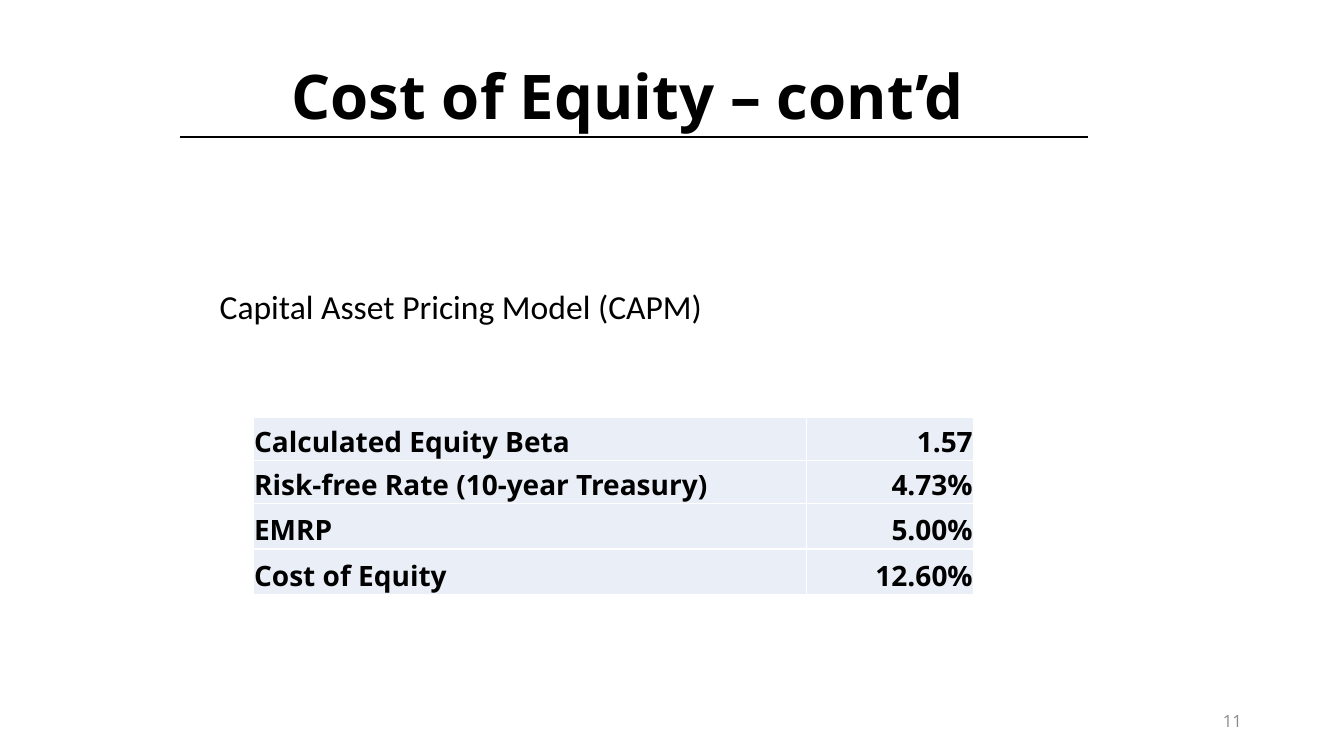
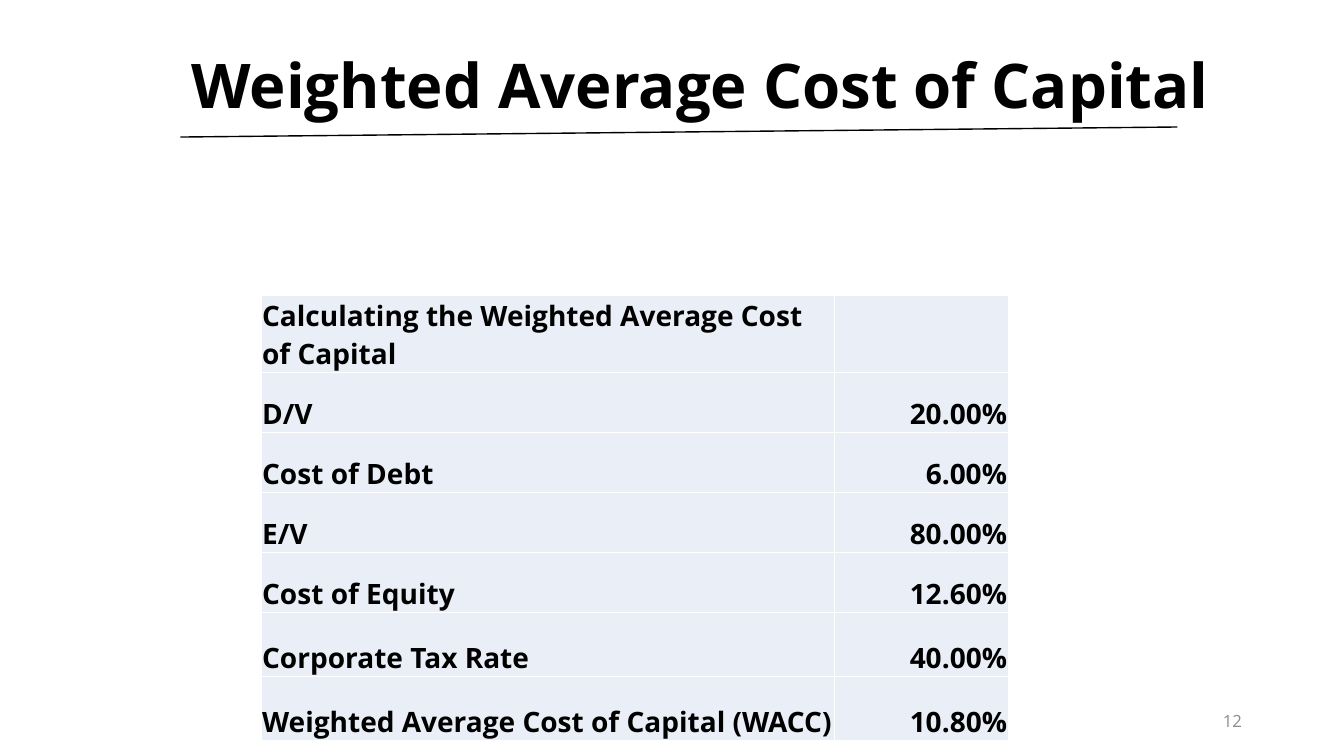
from pptx import Presentation
from pptx.dml.color import RGBColor
from pptx.enum.shapes import MSO_CONNECTOR
from pptx.enum.text import MSO_ANCHOR, PP_ALIGN
from pptx.oxml.ns import qn
from pptx.util import Inches, Pt
from lxml.etree import SubElement

BLACK, GREY, PALE_BLUE = "000000", "8C8C8C", "EAEFF7"
HEADING_FONT, BODY_FONT = "Open Sans", "Calibri"
LABEL_SHARE = 76.8  # label column, percent of table width
NUMBER_BOX = (70.65, 92.67, 22.5, 5.33)
RULE_START = (13.43, 18.13)

deck = Presentation()
deck.slide_width, deck.slide_height = Inches(13.33), Inches(7.5)


def color(code):
    """Turn a hex string into a colour."""
    return RGBColor.from_string(code)


def across(percent):
    """Length as a percentage of the slide width."""
    return int(deck.slide_width * percent / 100)


def down(percent):
    """Length as a percentage of the slide height."""
    return int(deck.slide_height * percent / 100)


def place(box):
    """Convert a percentage box to slide lengths."""
    left, top, width, height = box
    return across(left), down(top), across(width), down(height)


def write(frame, text, size, font=HEADING_FONT, ink=BLACK, bold=False,
          align=PP_ALIGN.LEFT):
    """Put one styled paragraph in a text frame and return it."""
    para = frame.paragraphs[0]
    para.text, para.alignment = text, align
    para.font.size, para.font.name, para.font.bold = Pt(size), font, bold
    para.font.color.rgb = color(ink)
    return para


def add_text(page, box, text, size, anchor=MSO_ANCHOR.TOP, **style):
    """Add a wrapping text box and return its paragraph."""
    frame = page.shapes.add_textbox(*place(box)).text_frame
    frame.word_wrap, frame.vertical_anchor = True, anchor
    return write(frame, text, size, **style)


def add_rule(page, end):
    """Draw the thin line under the title."""
    points = [f(v) for x, y in (RULE_START, end)
              for f, v in ((across, x), (down, y))]
    rule = page.shapes.add_connector(MSO_CONNECTOR.STRAIGHT, *points)
    rule.line.color.rgb, rule.line.width = color(BLACK), Pt(1)
    SubElement(rule._element.spPr, qn("a:effectLst"))


def add_figures(page, corner, width, rows, heights):
    """Add a two-column table of labels and right-aligned values."""
    box = (*corner, width, sum(heights))
    table = page.shapes.add_table(len(rows), 2, *place(box)).table
    table.first_row = table.horz_banding = False
    for column, share in zip(table.columns, (LABEL_SHARE, 100 - LABEL_SHARE)):
        column.width = across(width * share / 100)
    for row, height, texts in zip(table.rows, heights, rows):
        row.height = down(height)
        for cell, text, align in zip(row.cells, texts,
                                     (PP_ALIGN.LEFT, PP_ALIGN.RIGHT)):
            cell.fill.solid()
            cell.fill.fore_color.rgb = color(PALE_BLUE)
            cell.vertical_anchor = MSO_ANCHOR.BOTTOM
            cell.margin_left = cell.margin_right = cell.margin_top = Inches(0.01)
            cell.margin_bottom = 0
            write(cell.text_frame, text, 20, bold=True, align=align)


def add_page(title, title_box, rule_end, number):
    """Start a slide with its title, rule and page number."""
    page = deck.slides.add_slide(deck.slide_layouts[6])
    add_text(page, title_box, title, 44, bold=True)
    add_rule(page, rule_end)
    add_text(page, NUMBER_BOX, number, 12, anchor=MSO_ANCHOR.MIDDLE,
             ink=GREY, align=PP_ALIGN.RIGHT)
    return page


def equity_page():
    """Cost of equity from the pricing model."""
    page = add_page("Cost of Equity – cont’d", (20.93, 7.07, 61.35, 11.2),
                    (80.93, 18.13), "11")
    model = add_text(page, (15.6, 37.2, 71.85, 62.8),
                     "Capital Asset Pricing Model (CAPM)", 24, font=BODY_FONT)
    model.space_before = Pt(4.8)
    rows = [("Calculated Equity Beta", "1.57"),
            ("Risk-free Rate (10-year Treasury)", "4.73%"),
            ("EMRP", "5.00%"),
            ("Cost of Equity", "12.60%")]
    add_figures(page, (18.83, 55.2), 53.63, rows, [5.7] * 2 + [6.03] * 2)


def capital_page():
    """Weighted average cost of capital."""
    page = add_page("Weighted Average Cost of Capital",
                    (13.5, 5.6, 79.58, 11.2), (87.6, 16.8), "12")
    rows = [("Calculating the Weighted Average Cost of Capital", ""),
            ("D/V", "20.00%"),
            ("Cost of Debt", "6.00%"),
            ("E/V", "80.00%"),
            ("Cost of Equity", "12.60%"),
            ("Corporate Tax Rate", "40.00%"),
            ("Weighted Average Cost of Capital (WACC)", "10.80%")]
    two_line_height = 10.2
    add_figures(page, (19.43, 39.07), 55.58, rows,
                [two_line_height] + [7.95] * 4 + [8.45] * 2)


equity_page()
capital_page()
deck.save("out.pptx")
